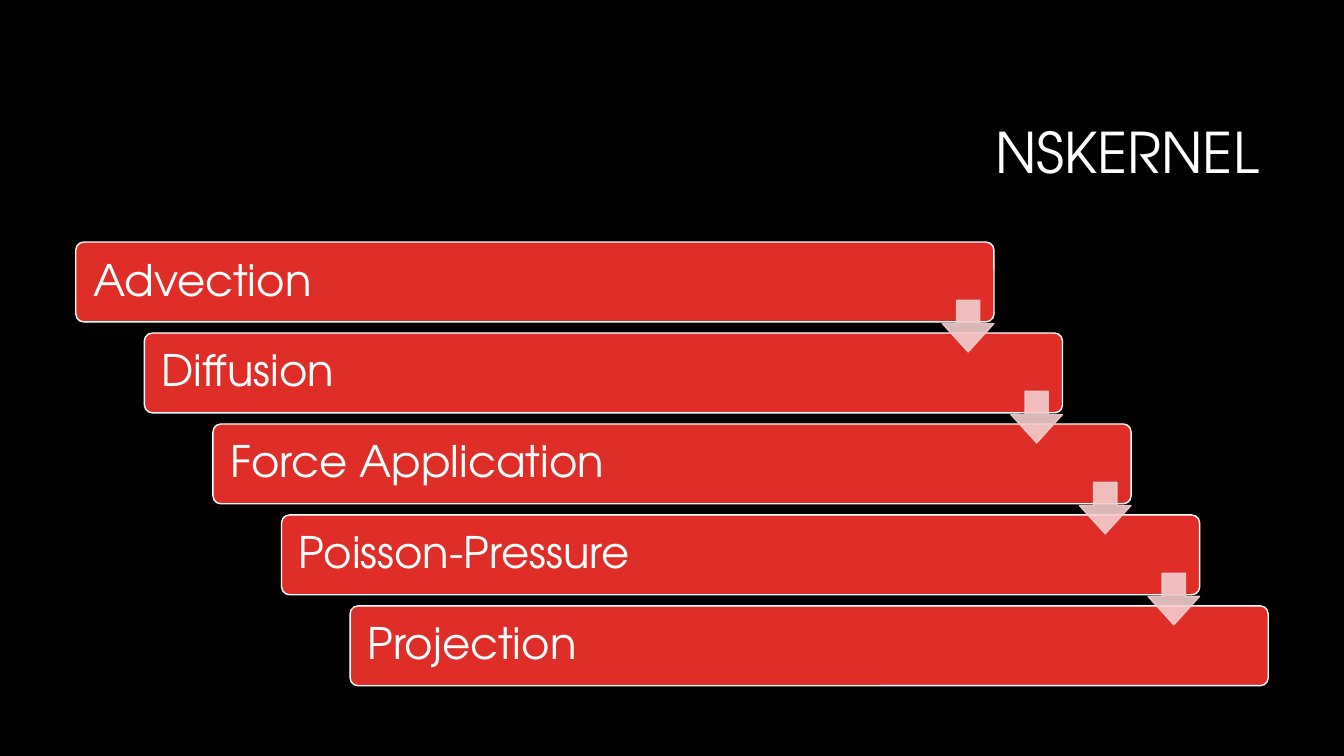
import lxml.etree
import pptx
import pptx.dml.color
import pptx.enum.shapes
import pptx.enum.text
import pptx.oxml.ns
import pptx.util

Cm = pptx.util.Cm
Pt = pptx.util.Pt
SHAPE = pptx.enum.shapes.MSO_SHAPE
ALIGN = pptx.enum.text.PP_ALIGN
FONT = "TeX Gyre Adventor"
STEPS = ["Advection", "Diffusion", "Force Application", "Poisson-Pressure", "Projection"]


def color(value):
    return pptx.dml.color.RGBColor.from_string(value)


def set_attrs(obj, values):
    for name, value in values.items():
        setattr(obj, name, value)


def write(tf, text, size, align):
    set_attrs(tf, {
        "word_wrap": True,
        "auto_size": pptx.enum.text.MSO_AUTO_SIZE.NONE,
        "vertical_anchor": pptx.enum.text.MSO_ANCHOR.MIDDLE,
    })
    p = tf.paragraphs[0]
    set_attrs(p, {"alignment": align, "line_spacing": 0.9})
    r = p.add_run()
    r.text = text
    set_attrs(r.font, {"name": FONT, "size": Pt(size), "bold": False})
    r.font.color.rgb = color("FFFFFF")


def add_block(s, kind, box, adjustments, fill, line):
    sp = s.shapes.add_shape(kind, *(Cm(v) for v in box))
    for i, value in enumerate(adjustments):
        sp.adjustments[i] = value
    sp.shadow.inherit = False
    sp.fill.solid()
    sp.fill.fore_color.rgb = color(fill)
    sp.line.color.rgb = color(line)
    sp.line.width = Pt(1)
    return sp


def set_opacity(sp, percent):
    qn = pptx.oxml.ns.qn
    for clr in sp._element.spPr.iter(qn("a:srgbClr")):
        lxml.etree.SubElement(clr, qn("a:alpha")).set("val", str(percent * 1000))


def add_title(s, left, top, width, height):
    sp = s.shapes.title
    set_attrs(sp, {"left": Cm(left), "top": Cm(top), "width": Cm(width), "height": Cm(height)})
    write(sp.text_frame, "NSKERNEL", 40, ALIGN.RIGHT)


def add_staircase(s, left, top, width, height):
    bar_w, bar_h, arrow = 0.77 * width, 0.18 * height, 1.3
    dx = (width - bar_w) / (len(STEPS) - 1)
    dy = (height - bar_h) / (len(STEPS) - 1)
    for i, text in enumerate(STEPS):
        box = (left + i * dx, top + i * dy, bar_w, bar_h)
        sp = add_block(s, SHAPE.ROUNDED_RECTANGLE, box, [0.1], "DF2E28", "FFFFFF")
        sp.text_frame.margin_left = Cm(0.38)
        write(sp.text_frame, text, 31, ALIGN.LEFT)
    for i in range(len(STEPS) - 1):
        box = (left + i * dx + bar_w - arrow, top + i * dy + 0.73 * bar_h, arrow, arrow)
        sp = add_block(s, SHAPE.DOWN_ARROW, box, [0.45, 0.55], "F3CDCD", "F3CDCD")
        set_opacity(sp, 90)


def main():
    prs = pptx.Presentation()
    set_attrs(prs, {"slide_width": Cm(33.87), "slide_height": Cm(19.05)})
    s = prs.slides.add_slide(prs.slide_layouts[5])
    s.background.fill.solid()
    s.background.fill.fore_color.rgb = color("000000")
    add_title(s, 8.05, 2.13, 23.93, 3.58)
    add_staircase(s, 1.91, 6.1, 30.05, 11.18)
    prs.save("out.pptx")


if __name__ == "__main__":
    main()
